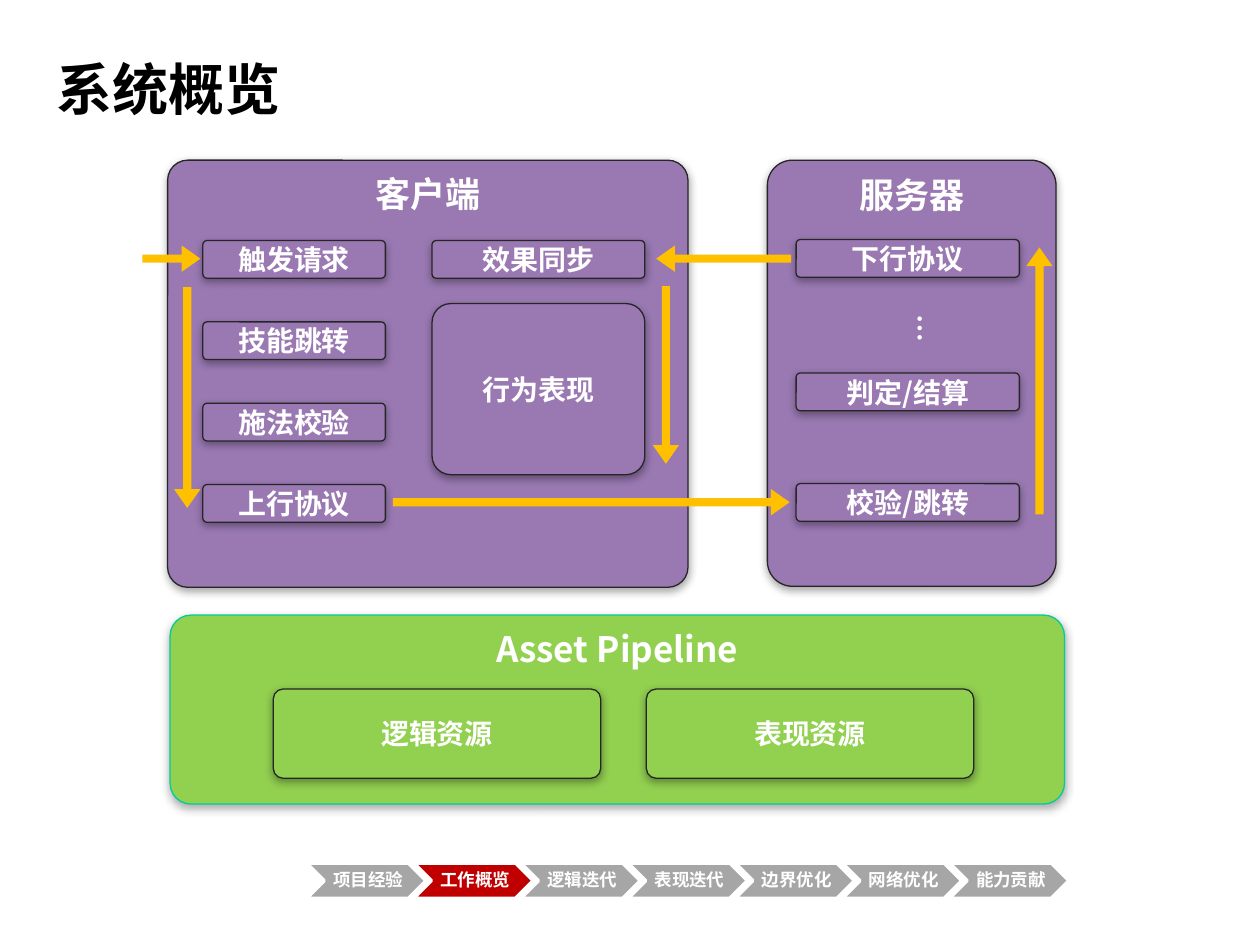
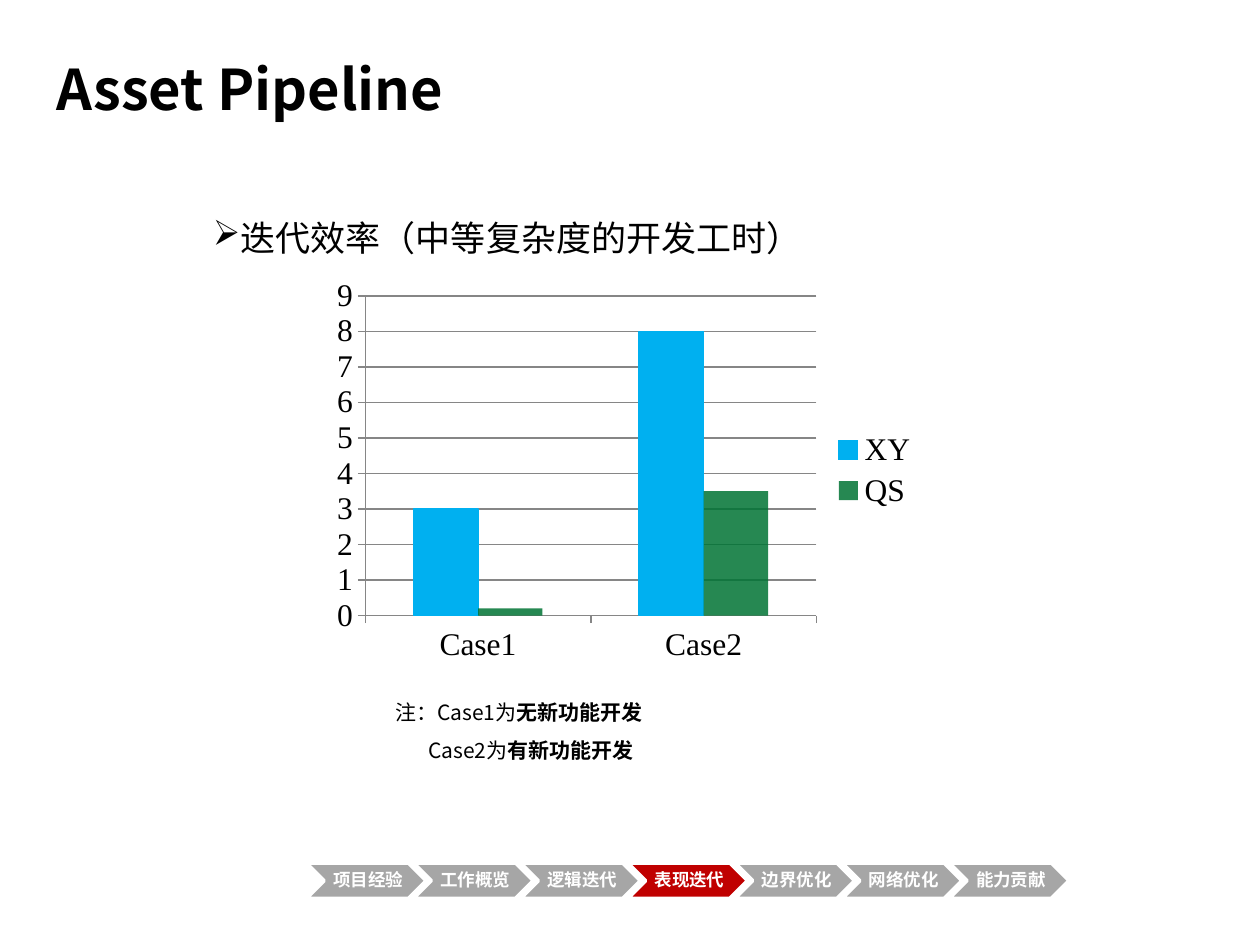
"""Build two slides: a system overview diagram and an asset pipeline chart."""
from lxml.etree import SubElement
from pptx import Presentation
from pptx.chart.data import CategoryChartData
from pptx.dml.color import RGBColor
from pptx.enum.chart import XL_CHART_TYPE, XL_LEGEND_POSITION, XL_TICK_MARK
from pptx.enum.shapes import MSO_SHAPE
from pptx.enum.text import MSO_ANCHOR, PP_ALIGN
from pptx.oxml.ns import qn
from pptx.util import Cm, Pt

BLACK = RGBColor(0x00, 0x00, 0x00)
WHITE = RGBColor(0xFF, 0xFF, 0xFF)
INK = RGBColor(0x26, 0x26, 0x26)
PURPLE = RGBColor(0x9A, 0x79, 0xB3)
GREEN = RGBColor(0x92, 0xD0, 0x50)
TEAL = RGBColor(0x00, 0xCC, 0x99)
AMBER = RGBColor(0xFF, 0xC0, 0x00)
GRAY = RGBColor(0xA6, 0xA6, 0xA6)
RED = RGBColor(0xC0, 0x00, 0x00)
AXIS_GRAY = RGBColor(0x86, 0x86, 0x86)
SKY = RGBColor(0x00, 0xB0, 0xF0)
FOREST = RGBColor(0x00, 0x74, 0x34)
SANS = "Noto Sans CJK SC"
SERIF = "Times New Roman"
STEPS = ["项目经验", "工作概览", "逻辑迭代", "表现迭代", "边界优化", "网络优化", "能力贡献"]


def style(paragraph, size, color, bold=False, latin=SANS):
    """Set the font of a paragraph, for Latin and East Asian text."""
    font = paragraph.font
    font.size, font.bold, font.name = Pt(size), bold, latin
    font.color.rgb = color
    defaults = paragraph._p.get_or_add_pPr().find(qn("a:defRPr"))
    SubElement(defaults, qn("a:ea"), typeface=SANS)


def add_block(page, kind, place, fill, line=None, line_width=0.75):
    """Add a flat preset shape; place is left, top, width, height in cm."""
    block = page.shapes.add_shape(kind, *map(Cm, place))
    block.shadow.inherit = False
    block.fill.solid()
    block.fill.fore_color.rgb = fill
    if line is None:
        block.line.fill.background()
    else:
        block.line.color.rgb = line
        block.line.width = Pt(line_width)
    return block


deck = Presentation()
deck.slide_width, deck.slide_height = Cm(25.4), Cm(19.05)
pages = []
for title, current_step in [("系统概览", "工作概览"), ("Asset Pipeline", "表现迭代")]:
    page = deck.slides.add_slide(deck.slide_layouts[6])
    pages.append(page)
    frame = page.shapes.add_textbox(Cm(0.89), Cm(0.61), Cm(19.2), Cm(2.34)).text_frame
    frame.word_wrap = True
    frame.vertical_anchor = MSO_ANCHOR.MIDDLE
    frame.text = title
    style(frame.paragraphs[0], 32, BLACK, bold=True)
    for index, step in enumerate(STEPS):
        fill = RED if step == current_step else GRAY
        place = (6.18 + index * 2.16, 17.4, 2.41, 0.71)
        frame = add_block(page, MSO_SHAPE.CHEVRON, place, fill, WHITE, 2).text_frame
        frame.margin_left, frame.margin_right = Cm(0.1), Cm(0.03)
        frame.margin_top = frame.margin_bottom = Cm(0.03)
        frame.vertical_anchor = MSO_ANCHOR.MIDDLE
        frame.text = step
        paragraph = frame.paragraphs[0]
        paragraph.alignment = PP_ALIGN.CENTER
        paragraph.line_spacing = 0.9
        style(paragraph, 10, WHITE, bold=True, latin=SERIF)

overview, pipeline = pages

panels = [
    ("客户端", (3.38, 3.23, 10.49, 8.61), PURPLE, INK, 0.047),
    ("服务器", (15.47, 3.23, 5.82, 8.59), PURPLE, INK, 0.087),
    ("Asset Pipeline", (3.43, 12.4, 18.03, 3.81), GREEN, TEAL, 0.11),
]
boxes = [
    ("效果同步", (8.71, 4.85, 4.29, 0.76), PURPLE),
    ("行为表现", (8.71, 6.12, 4.29, 3.45), PURPLE),
    ("逻辑资源", (5.51, 13.89, 6.6, 1.8), GREEN),
    ("表现资源", (13.03, 13.89, 6.6, 1.8), GREEN),
]
for index, label in enumerate(["触发请求", "技能跳转", "施法校验", "上行协议"]):
    boxes.append((label, (4.09, 4.85 + index * 1.64, 3.68, 0.76), PURPLE))
for label, top in [("下行协议", 4.83), ("判定/结算", 7.52), ("校验/跳转", 9.75)]:
    boxes.append((label, (16.05, top, 4.5, 0.76), PURPLE))

blocks = [(*panel, 20, MSO_ANCHOR.TOP) for panel in panels]
blocks += [(*box, INK, 0.11, 16, MSO_ANCHOR.MIDDLE) for box in boxes]
for label, place, fill, line, rounding, size, anchor in blocks:
    block = add_block(overview, MSO_SHAPE.ROUNDED_RECTANGLE, place, fill, line)
    block.adjustments[0] = rounding
    effects = block._element.spPr.find(qn("a:effectLst"))
    shadow = SubElement(effects, qn("a:outerShdw"), blurRad=str(Pt(5)), dist=str(Pt(1.8)),
                        dir="5400000", rotWithShape="0")
    shade = SubElement(shadow, qn("a:srgbClr"), val=str(BLACK))
    SubElement(shade, qn("a:alpha"), val="35000")
    block.text_frame.vertical_anchor = anchor
    block.text_frame.text = label
    paragraph = block.text_frame.paragraphs[0]
    paragraph.alignment = PP_ALIGN.CENTER
    style(paragraph, size, WHITE, bold=True)

arrows = [
    (MSO_SHAPE.RIGHT_ARROW, (2.87, 4.95, 1.17, 0.53)),
    (MSO_SHAPE.DOWN_ARROW, (3.51, 5.79, 0.53, 4.45)),
    (MSO_SHAPE.RIGHT_ARROW, (7.92, 9.86, 8, 0.53)),
    (MSO_SHAPE.UP_ARROW, (20.69, 4.99, 0.53, 5.38)),
    (MSO_SHAPE.LEFT_ARROW, (13.23, 4.95, 2.72, 0.53)),
    (MSO_SHAPE.DOWN_ARROW, (13.16, 5.77, 0.53, 3.58)),
]
for kind, place in arrows:
    arrow = add_block(overview, kind, place, AMBER)
    arrow.adjustments[0] = 0.31
    arrow.adjustments[1] = 0.71

frame = overview.shapes.add_textbox(Cm(17.83), Cm(6.1), Cm(1.19), Cm(0.76)).text_frame
frame._txBody.bodyPr.set("vert", "eaVert")
frame.word_wrap = True
frame.text = "…"
style(frame.paragraphs[0], 16, WHITE, bold=True)

frame = pipeline.shapes.add_textbox(Cm(4.04), Cm(3.81), Cm(17.42), Cm(1.85)).text_frame
frame.word_wrap = True
frame.text = "迭代效率（中等复杂度的开发工时）"
paragraph = frame.paragraphs[0]
paragraph.line_spacing = 1.5
SubElement(paragraph._p.get_or_add_pPr(), qn("a:buChar"), char="➢")
style(paragraph, 20, BLACK)

hours = CategoryChartData()
hours.categories = ["Case1", "Case2"]
hours.add_series("XY", [3, 8])
hours.add_series("QS", [0.2, 3.5])
chart = pipeline.shapes.add_chart(XL_CHART_TYPE.COLUMN_CLUSTERED, Cm(6.55), Cm(5.46),
                                  Cm(12.22), Cm(8.05), hours).chart
chart.font.size, chart.font.name = Pt(18), SERIF
chart.font.color.rgb = BLACK
chart.has_title = False
chart.has_legend = True
chart.legend.position = XL_LEGEND_POSITION.RIGHT
chart.legend.include_in_layout = False
for axis in (chart.category_axis, chart.value_axis):
    axis.major_tick_mark = XL_TICK_MARK.OUTSIDE
    axis.format.line.color.rgb = AXIS_GRAY
values = chart.value_axis
values.minimum_scale, values.maximum_scale, values.major_unit = 0, 9, 1
values.major_gridlines.format.line.color.rgb = AXIS_GRAY
plot = chart.plots[0]
plot.gap_width, plot.overlap = 150, 0
plot.vary_by_categories = False
for series, color in zip(plot.series, [SKY, FOREST]):
    series.invert_if_negative = False
    series.format.fill.solid()
    series.format.fill.fore_color.rgb = color
first, second = plot.series
first.format.line.color.rgb = SKY
first.format.line.width = Pt(0.75)
tint = second._element.spPr.find(qn("a:solidFill")).find(qn("a:srgbClr"))
SubElement(tint, qn("a:alpha"), val="85000")

frame = pipeline.shapes.add_textbox(Cm(7.72), Cm(13.72), Cm(11.58), Cm(2.21)).text_frame
frame.word_wrap = True
notes = [("注：Case1为", "无新功能开发", 0), ("Case2为", "有新功能开发", 0.66)]
frame.text = "\n".join(case for case, _, _ in notes)
for paragraph, (_, meaning, indent) in zip(frame.paragraphs, notes):
    paragraph.line_spacing = 1.5
    paragraph._p.get_or_add_pPr().set("marL", str(Cm(indent)))
    style(paragraph, 12, BLACK)
    span = paragraph.add_run()
    span.text = meaning
    span.font.bold = True

deck.save("out.pptx")
